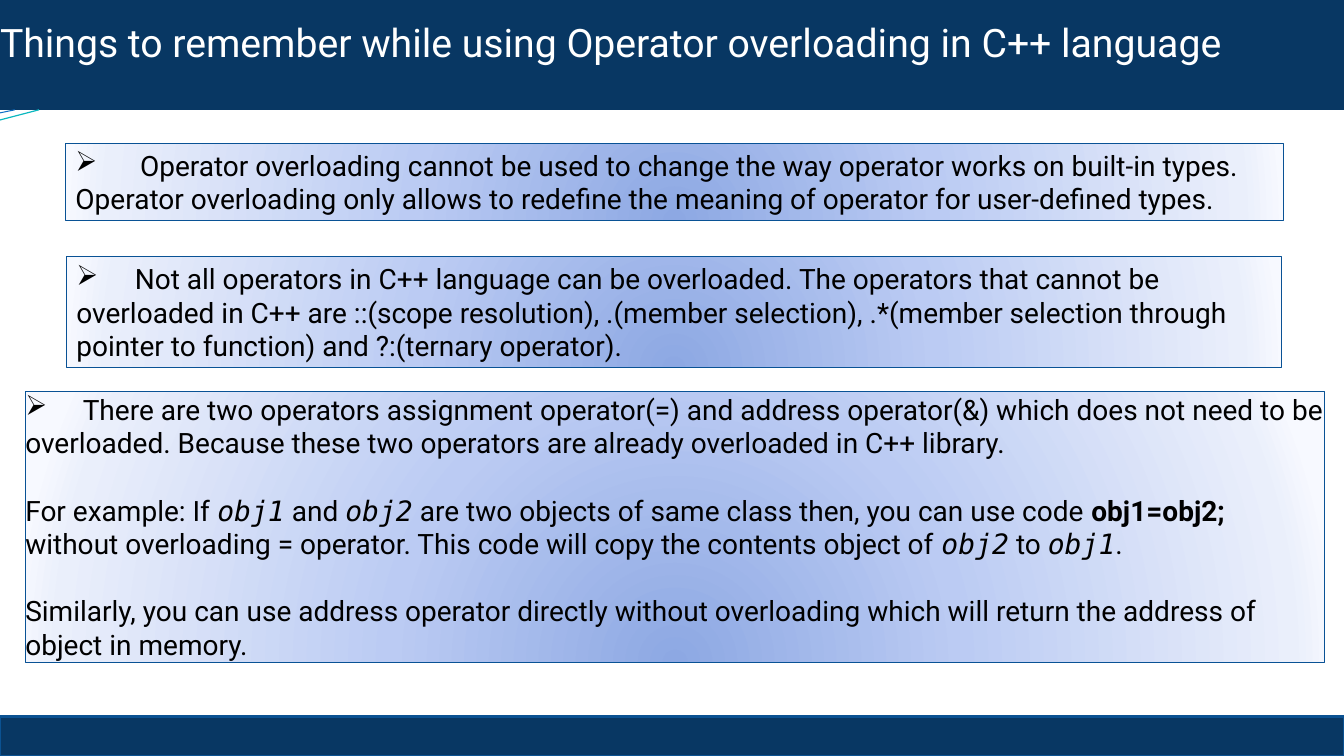
from lxml.etree import SubElement
from pptx import Presentation
from pptx.dml.color import RGBColor
from pptx.enum.shapes import MSO_CONNECTOR, MSO_SHAPE
from pptx.enum.text import MSO_ANCHOR, MSO_AUTO_SIZE, PP_ALIGN
from pptx.oxml.ns import qn
from pptx.util import Inches, Pt

# Content: a paragraph is a list of (text, style) pieces
TITLE = "Things to remember while using Operator overloading in C++ language"
BUILT_IN = [[("Operator overloading cannot be used to change the way operator works on "
              "built-in types. Operator overloading only allows to redefine the meaning of "
              "operator for user-defined types.", "plain")]]
NOT_ALL = [[("Not all operators in C++ language can be overloaded. The operators that cannot be "
             "overloaded in C++ are ::(scope resolution), .(member selection), .*(member "
             "selection through pointer to function) and ?:(ternary operator).", "plain")]]
NO_NEED = [
    [("There are two operators assignment operator(=) and address operator(&) which does not "
      "need to be overloaded. Because these two operators are already overloaded in C++ "
      "library.", "plain")],
    [("For example: If ", "plain"), ("obj1", "code"), (" and ", "plain"), ("obj2", "code"),
     (" are two objects of same class then, you can use code ", "plain"),
     ("obj1=obj2;", "strong"),
     (" without overloading = operator. This code will copy the contents object of ", "plain"),
     ("obj2", "code"), (" to ", "plain"), ("obj1", "code"), (".", "plain")],
    [("Similarly, you can use address operator directly without overloading which will return "
      "the address of object in memory.", "plain")],
]

COLORS = {"navy": "083763", "footer_edge": "0B5292", "box_edge": "095295",
          "teal": "0AB8BF", "blue": "0F6FC6", "text": "000000", "white": "FFFFFF"}
GLOW = [(0, "8DA8E3"), (43, "BBCBF3"), (93, "EAEFFB"), (100, "F7F9FF")]
STYLES = {"plain": {}, "code": {"font": "DejaVu Sans Mono", "italic": True},
          "strong": {"bold": True}}

# Places in percent of the slide: left, top, width, height
TITLE_BAR = (0, 0, 100, 14.53)
FOOTER_BAR = (0, 94.8, 100, 5.2)
# paragraphs, place, side inset, top inset, start of first line after the bullet (inches)
BOXES = [
    (NO_NEED, (1.88, 51.73, 96.7, 35.87), 0, 0, 0.57),
    (BUILT_IN, (4.88, 18.93, 90.62, 10.27), 0.1, 0.05, 0.64),
    (NOT_ALL, (4.95, 33.87, 90.4, 14.8), 0.1, 0.05, 0.58),
]
# Wave ends below the title bar: colour, width, height at the left edge, length
WAVES = [("teal", 0.85, 15.87, 2.9), ("blue", 0.75, 14.93, 1.1)]

deck = Presentation()
deck.slide_width, deck.slide_height = Inches(13.33), Inches(7.5)
page = deck.slides.add_slide(deck.slide_layouts[5])


def across(share):
    return round(deck.slide_width * share / 100)


def down(share):
    return round(deck.slide_height * share / 100)


def frame(place):
    left, top, width, height = place
    return across(left), down(top), across(width), down(height)


def color(name):
    return RGBColor.from_string(COLORS[name])


def add_text(para, text, font="Roboto", size=20, fill="text", bold=False, italic=False):
    span = para.add_run()
    span.text = text
    span.font.name, span.font.size = font, Pt(size)
    span.font.bold, span.font.italic = bold, italic
    span.font.color.rgb = color(fill)


def add_box(place, edge, width):
    box = page.shapes.add_shape(MSO_SHAPE.RECTANGLE, *frame(place))
    box.shadow.inherit = False
    box.line.color.rgb = color(edge)
    box.line.width = Pt(width)
    return box


def set_insets(words, side, top, bottom):
    words.margin_left = words.margin_right = Inches(side)
    words.margin_top, words.margin_bottom = Inches(top), Inches(bottom)


def add_glow(box):
    box.fill.gradient()
    gradient = box.element.spPr.find(qn("a:gradFill"))
    for child in list(gradient):
        gradient.remove(child)
    stops = SubElement(gradient, qn("a:gsLst"))
    for position, shade in GLOW:
        stop = SubElement(stops, qn("a:gs"), pos=str(position * 1000))
        SubElement(stop, qn("a:srgbClr"), val=shade)
    circle = SubElement(gradient, qn("a:path"), path="circle")
    SubElement(circle, qn("a:fillToRect"), l="50000", t="130000", r="50000", b="-30000")


def add_bullet(para, start):
    properties = para._p.get_or_add_pPr()
    properties.set("marL", "0")
    properties.set("indent", "0")
    SubElement(properties, qn("a:buChar"), char="➢")
    tabs = SubElement(properties, qn("a:tabLst"))
    SubElement(tabs, qn("a:tab"), pos=str(Inches(start)), algn="l")


# Wave ends
bar_bottom = TITLE_BAR[3]
for shade, width, height, length in WAVES:
    wave = page.shapes.add_connector(MSO_CONNECTOR.STRAIGHT, 0, down(height),
                                     across(length), down(bar_bottom))
    wave.line.color.rgb = color(shade)
    wave.line.width = Pt(width)
    SubElement(wave.element.spPr, qn("a:effectLst"))

# Title bar
title = page.shapes.title
title.left, title.top, title.width, title.height = frame(TITLE_BAR)
title.fill.solid()
title.fill.fore_color.rgb = color("navy")
heading = title.text_frame
heading.word_wrap = True
heading.auto_size = MSO_AUTO_SIZE.NONE
heading.vertical_anchor = MSO_ANCHOR.TOP
set_insets(heading, 0, 0.18, 0)
heading.paragraphs[0].alignment = PP_ALIGN.LEFT
add_text(heading.paragraphs[0], TITLE, size=28, fill="white")

# Footer bar
footer = add_box(FOOTER_BAR, "footer_edge", 2)
footer.fill.solid()
footer.fill.fore_color.rgb = color("navy")

# Text boxes
for paragraphs, place, side, top, start in BOXES:
    box = add_box(place, "box_edge", 0.75)
    add_glow(box)
    words = box.text_frame
    words.word_wrap = True
    words.auto_size = MSO_AUTO_SIZE.SHAPE_TO_FIT_TEXT
    words.vertical_anchor = MSO_ANCHOR.MIDDLE
    set_insets(words, side, top, top)
    for number, pieces in enumerate(paragraphs):
        para = words.add_paragraph() if number else words.paragraphs[0]
        para.alignment = PP_ALIGN.LEFT
        if number:
            para.space_before = Pt(24)
        else:
            add_bullet(para, start)
            add_text(para, "\t")
        for text, style in pieces:
            add_text(para, text, **STYLES[style])

deck.save("out.pptx")
